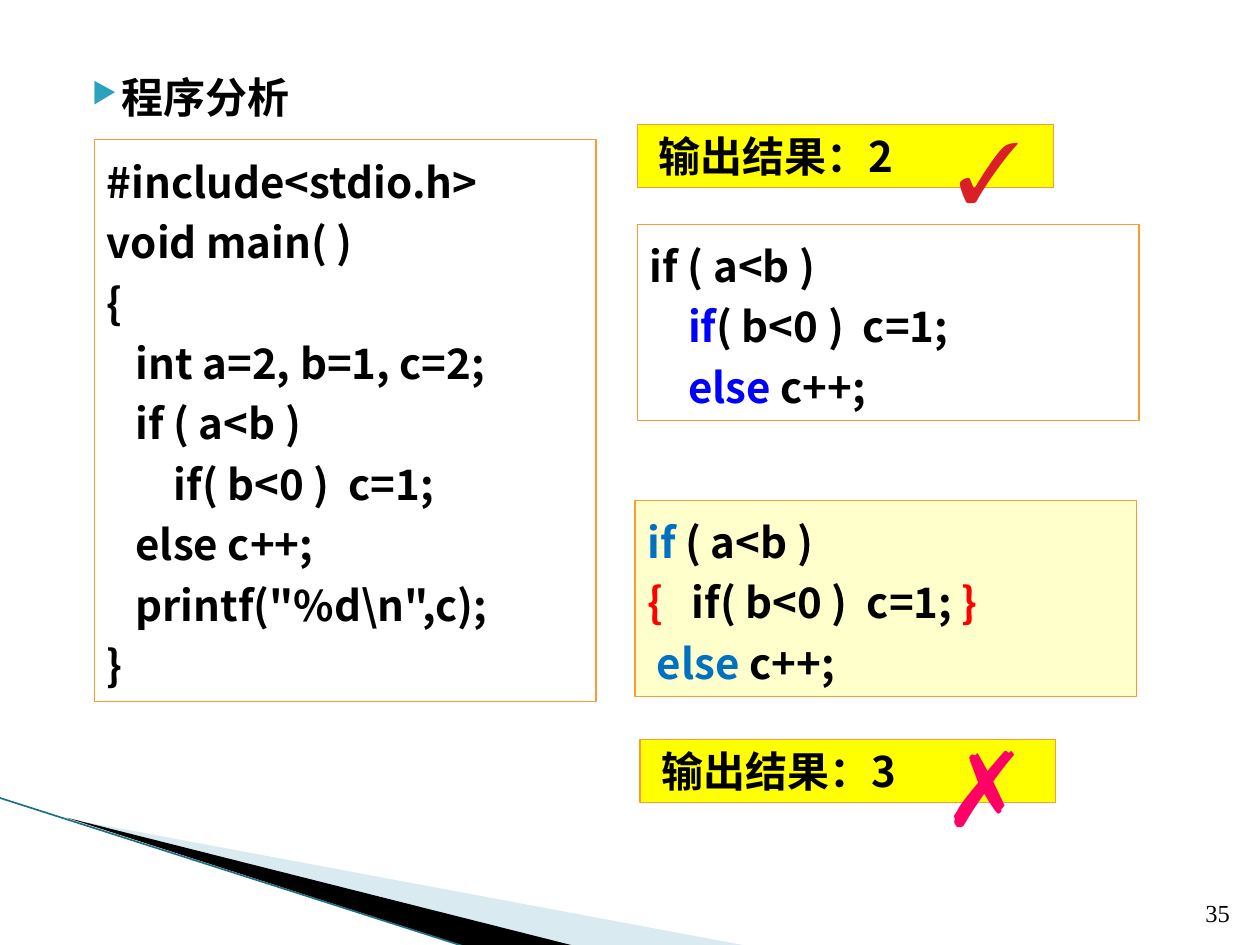
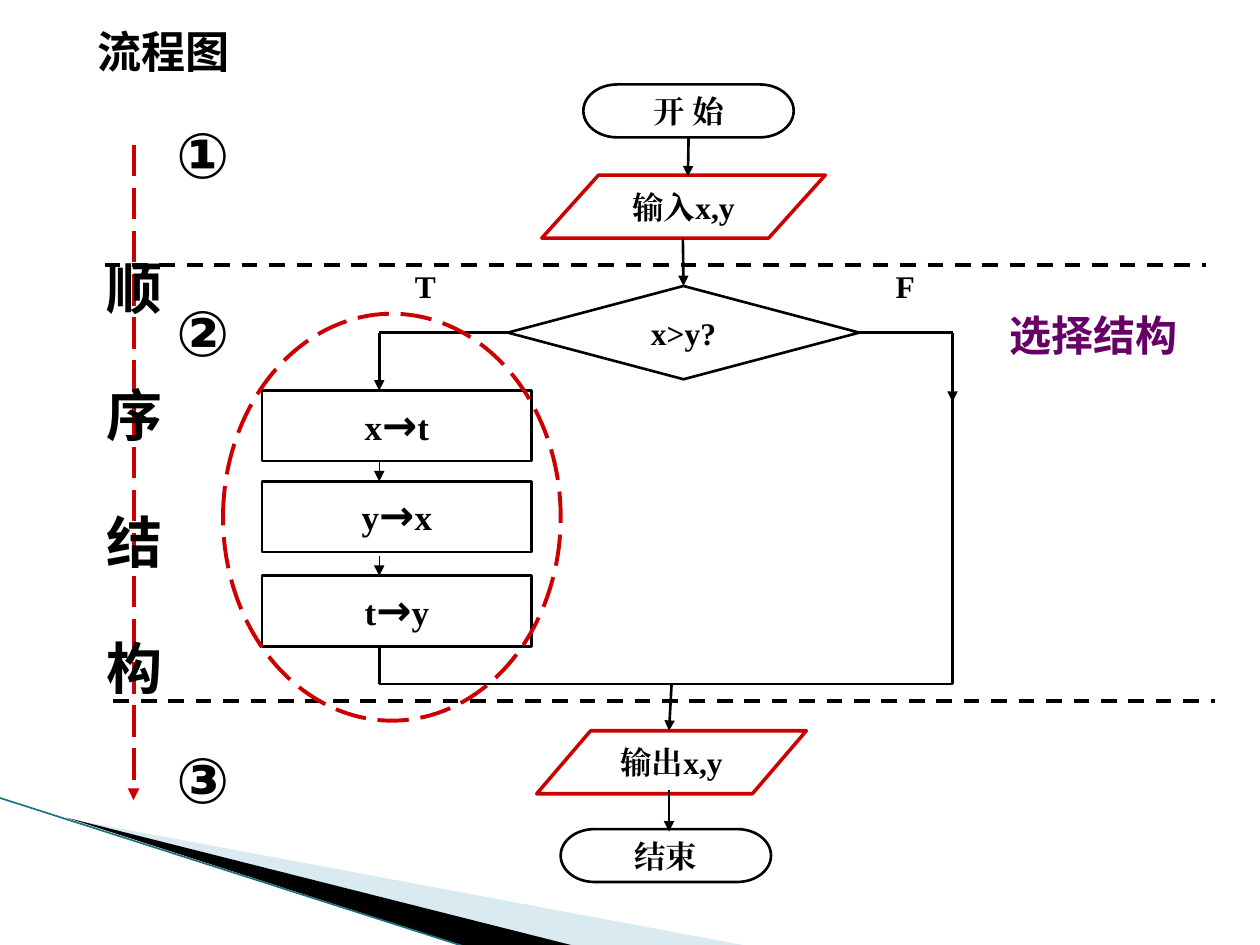
from lxml import etree
from pptx import Presentation
from pptx.dml.color import RGBColor
from pptx.enum.dml import MSO_LINE
from pptx.enum.shapes import MSO_CONNECTOR, MSO_SHAPE
from pptx.enum.text import MSO_ANCHOR, MSO_AUTO_SIZE, PP_ALIGN
from pptx.oxml.ns import qn
from pptx.util import Inches, Pt

LEFT, CENTER, RIGHT = PP_ALIGN.LEFT, PP_ALIGN.CENTER, PP_ALIGN.RIGHT
TOP, MIDDLE, BOTTOM = MSO_ANCHOR.TOP, MSO_ANCHOR.MIDDLE, MSO_ANCHOR.BOTTOM
RECT, OVAL = MSO_SHAPE.RECTANGLE, MSO_SHAPE.OVAL
TERMINATOR, DATA = MSO_SHAPE.FLOWCHART_TERMINATOR, MSO_SHAPE.FLOWCHART_DATA
DECISION, PROCESS = MSO_SHAPE.FLOWCHART_DECISION, MSO_SHAPE.FLOWCHART_PROCESS
DASH, LONG_DASH = MSO_LINE.DASH, MSO_LINE.LONG_DASH

BLACK = RGBColor(0x00, 0x00, 0x00)
RED = RGBColor(0xCC, 0x00, 0x00)
BRIGHT_RED = RGBColor(0xFF, 0x00, 0x00)
CHECK_RED = RGBColor(0xDA, 0x1F, 0x28)
PINK = RGBColor(0xFF, 0x00, 0x66)
PURPLE = RGBColor(0x66, 0x00, 0x66)
BLUE = RGBColor(0x00, 0x00, 0xFF)
SKY = RGBColor(0x00, 0x70, 0xC0)
ORANGE = RGBColor(0xFF, 0x99, 0x33)
YELLOW = RGBColor(0xFF, 0xFF, 0x00)
CREAM = RGBColor(0xFF, 0xFF, 0xCC)
PALE_BLUE = RGBColor(0xA0, 0xCB, 0xDC)
TEAL = RGBColor(0x1F, 0x70, 0x83)

SANS, SERIF = "Noto Sans CJK SC", "Times New Roman"
KARLA, MONO = "Karla", "DejaVu Sans Mono"

# ---- Content: program analysis ----
PROGRAM = [
    "#include<stdio.h>", "void main( )", "{", "   int a=2, b=1, c=2;",
    "   if ( a<b )", "       if( b<0 )  c=1;", "   else c++;",
    '   printf("%d\\n",c);', "}",
]
NESTED_ELSE = [
    "if ( a<b )",
    [("    ", {}), ("if", {"color": BLUE}), ("( b<0 )  c=1;", {})],
    [("    else ", {"color": BLUE}), ("c++;", {})],
]
OUTER_ELSE = [
    [("if", {"color": SKY}), (" ( a<b )", {})],
    [("{", {"color": BRIGHT_RED}), ("   if( b<0 )  c=1; ", {}),
     ("}", {"color": BRIGHT_RED})],
    [(" else ", {"color": SKY}), ("c++;", {})],
]
CODE_BOXES = [  # text, left, top, height, fill
    (PROGRAM, 0.75, 1.11, 4.46, None),
    (OUTER_ELSE, 5.04, 3.97, 1.56, CREAM),
    (NESTED_ELSE, 5.06, 1.78, 1.56, None),
]
RESULTS = [("输出结果：3", 5.08, 5.87), ("输出结果：2", 5.06, 0.99)]
MARKS = [  # text, area, size, colour
    ("✗", (7.18, 5.63, 0.97, 1.1), 60, PINK),
    ("✓", (7.36, 0.89, 0.84, 0.9), 48, CHECK_RED),
]

# ---- Content: flow chart ----
NODES = {  # text, kind, area, line colour, line width
    "start": ("开 始", TERMINATOR, (4.63, 0.67, 1.67, 0.42), BLACK, 1.5),
    "input": ("输入x,y", DATA, (4.3, 1.39, 2.25, 0.5), RED, 2),
    "output": ("输出x,y", DATA, (4.26, 5.8, 2.14, 0.5), RED, 2),
    "end": ("结束", TERMINATOR, (4.45, 6.58, 1.67, 0.42), BLACK, 1.5),
    "test": ("x>y?", DECISION, (4.03, 2.27, 2.79, 0.74), BLACK, 1.5),
}
SWAP_STEPS = [("x", "t", 3.1), ("y", "x", 3.82), ("t", "y", 4.57)]
STEP_LEFT, STEP_WIDTH, STEP_HEIGHT = 2.08, 2.14, 0.56
TRUE_X, FALSE_X, BRANCH_Y, MERGE_Y = 3.01, 7.56, 2.64, 5.43
LINKS = [  # start, end, format
    ((5.46, 1.09), (5.46, 1.4), {"arrow": True, "begin": ("start", 2)}),
    ((5.42, 1.9), (5.42, 2.27), {"arrow": True, "end": ("test", 0)}),
    ((5.31, 6.27), (5.31, 6.6), {"arrow": True}),
    ((4.03, BRANCH_Y), (TRUE_X, BRANCH_Y), {"begin": ("test", 1)}),
    ((TRUE_X, BRANCH_Y), (TRUE_X, 3.1), {"arrow": True}),
    ((6.82, BRANCH_Y), (FALSE_X, BRANCH_Y), {"begin": ("test", 3)}),
    ((FALSE_X, BRANCH_Y), (FALSE_X, 3.19), {"arrow": True}),
    ((FALSE_X, 3.16), (FALSE_X, MERGE_Y), {}),
    ((TRUE_X, 5.13), (TRUE_X, MERGE_Y), {}),
    ((TRUE_X, MERGE_Y), (FALSE_X, MERGE_Y), {}),
    ((5.33, MERGE_Y), (5.31, 5.8), {"arrow": True}),
    ((TRUE_X, 3.66), (TRUE_X, 3.82), {"arrow": True, "width": 0.75}),
    ((TRUE_X, 4.41), (TRUE_X, 4.57), {"arrow": True, "width": 0.75}),
    ((0.83, 2.1), (9.57, 2.1), {"width": 2.25, "dash": DASH}),
    ((0.9, 5.56), (9.64, 5.56), {"width": 2.25, "dash": DASH}),
    ((1.06, 1.15), (1.06, 6.35),
     {"width": 2.25, "dash": LONG_DASH, "color": RED, "arrow": True}),
]
BRANCH_LABELS = [("T", 2.82), ("F", 6.63)]
STAGES = [("①", 0.84), ("②", 2.25), ("③", 5.8)]


def inches(values):
    return [Inches(value) for value in values]


def put_text(box, paragraphs, size=24, font=SANS, color=BLACK, bold=True,
             align=LEFT, anchor=TOP, spacing=None, gap=0, wrap=True,
             insets=(0.1, 0.05, 0.1, 0.05), bullet=None):
    """Fill a box with paragraphs, each a string or a list of (text, changes)."""
    frame = box.text_frame
    frame.auto_size = MSO_AUTO_SIZE.NONE
    frame.word_wrap, frame.vertical_anchor = wrap, anchor
    (frame.margin_left, frame.margin_top,
     frame.margin_right, frame.margin_bottom) = inches(insets)
    for number, content in enumerate(paragraphs):
        para = frame.add_paragraph() if number else frame.paragraphs[0]
        para.alignment = align
        if spacing:
            para.line_spacing = spacing
        if number and gap:
            para.space_before = Pt(gap)
        if bullet:
            add_bullet(para, *bullet)
        spans = [(content, {})] if isinstance(content, str) else content
        for text, changes in spans:
            span = para.add_run()
            span.text = text
            span.font.size = Pt(changes.get("size", size))
            span.font.bold = bold
            span.font.color.rgb = changes.get("color", color)
            span.font.name = changes.get("font", font)
            east_asian = etree.SubElement(span.font._element, qn("a:ea"))
            east_asian.set("typeface", span.font.name)


def add_bullet(para, symbol, color, percent):
    properties = para._p.get_or_add_pPr()
    tint = etree.SubElement(properties, qn("a:buClr"))
    etree.SubElement(tint, qn("a:srgbClr")).set("val", color)
    etree.SubElement(properties, qn("a:buSzPct")).set("val", str(percent * 1000))
    etree.SubElement(properties, qn("a:buChar")).set("char", symbol)


def add_label(page, area, paragraphs, **style):
    put_text(page.shapes.add_textbox(*inches(area)), paragraphs, **style)


def paint(shape, fill=None, line=None, width=0.75):
    shape.shadow.inherit = False
    if fill is None:
        shape.fill.background()
    else:
        shape.fill.solid()
        shape.fill.fore_color.rgb = fill
    if line is None:
        shape.line.fill.background()
    else:
        shape.line.color.rgb = line
        shape.line.width = Pt(width)


def add_box(page, kind, area, fill=None, line=BLACK, width=0.75):
    shape = page.shapes.add_shape(kind, *inches(area))
    paint(shape, fill, line, width)
    return shape


def add_line(page, start, end, color=BLACK, width=1.5, dash=None, arrow=False,
             begin_at=None, end_at=None):
    line = page.shapes.add_connector(MSO_CONNECTOR.STRAIGHT,
                                     *inches(start + end))
    line.line.color.rgb = color
    line.line.width = Pt(width)
    if dash:
        line.line.dash_style = dash
    if arrow:
        tail = etree.SubElement(line.line._get_or_add_ln(), qn("a:tailEnd"))
        tail.set("type", "triangle")
    etree.SubElement(line._element.spPr, qn("a:effectLst"))
    if begin_at:
        line.begin_connect(*begin_at)
    if end_at:
        line.end_connect(*end_at)


def add_wedge(page, points, color, opacity=100):
    corners = [tuple(inches(point)) for point in points]
    builder = page.shapes.build_freeform(*corners[0])
    builder.add_line_segments(corners[1:], close=True)
    wedge = builder.convert_to_shape()
    paint(wedge, fill=color)
    if opacity < 100:
        tint = wedge._element.spPr.find(qn("a:solidFill"))[0]
        etree.SubElement(tint, qn("a:alpha")).set("val", str(opacity * 1000))


def new_page(deck, title, area, **style):
    """Start a slide with its title and the corner wedges."""
    page = deck.slides.add_slide(deck.slide_layouts[5])
    heading = page.shapes.title
    heading.left, heading.top, heading.width, heading.height = inches(area)
    put_text(heading, [title], **style)
    add_wedge(page, [(0.55, 6.5), (5.95, 7.51), (4.56, 7.51)], PALE_BLUE, 40)
    add_wedge(page, [(0.53, 6.49), (4.57, 7.51), (3.72, 7.52)], BLACK)
    add_line(page, (-0.01, 6.33), (3.71, 7.52), color=TEAL, width=0.95)
    return page


def build_analysis(deck):
    page = new_page(deck, "程序分析", (0.63, 0.4, 4.37, 0.55), spacing=1.3,
                    bullet=("▶", "2DA2BF", 68))
    add_label(page, (9.36, 7.01, 0.5, 0.4), ["35"], size=14, font=SERIF,
              bold=False, align=RIGHT, anchor=BOTTOM)
    for code, left, top, height, fill in CODE_BOXES:
        box = add_box(page, RECT, (left, top, 3.98, height), fill, ORANGE)
        put_text(box, code, spacing=1.2)
    for result, left, top in RESULTS:
        box = add_box(page, RECT, (left, top, 3.3, 0.5), YELLOW, ORANGE)
        put_text(box, [result], insets=(0.17, 0.05, 0.1, 0.05))
    for mark, area, size, color in MARKS:
        add_label(page, area, [mark], size=size, font=SERIF, color=color,
                  align=RIGHT, wrap=False)


def build_flow_chart(deck):
    page = new_page(deck, "流程图", (0.52, 0.12, 2.03, 0.56), size=25.2,
                    font=MONO, anchor=MIDDLE, insets=(0.25, 0.05, 0.1, 0.05))
    centred = {"font": SERIF, "align": CENTER, "anchor": MIDDLE, "wrap": False}

    # Nodes and the three swap steps
    nodes = {}
    for name, (text, kind, area, color, width) in NODES.items():
        nodes[name] = add_box(page, kind, area, line=color, width=width)
        put_text(nodes[name], [text], size=18, **centred)
    for source, target, top in SWAP_STEPS:
        box = add_box(page, PROCESS, (STEP_LEFT, top, STEP_WIDTH, STEP_HEIGHT),
                      width=1.5)
        spans = [(source, {}), ("→", {"size": 24, "font": KARLA}), (target, {})]
        put_text(box, [spans], size=20, spacing=0.95, **centred)

    # Links, joined to their nodes where they meet a side
    for start, end, style in LINKS:
        style = dict(style)
        joints = {}
        for key in ("begin", "end"):
            if key in style:
                name, side = style.pop(key)
                joints[key + "_at"] = (nodes[name], side)
        add_line(page, start, end, **style, **joints)

    # Labels
    for text, left in BRANCH_LABELS:
        add_label(page, (left, 1.99, 1.11, 0.56), [text], size=18, **centred)
    plain = {"font": KARLA, "spacing": 1.05, "insets": (0, 0.05, 0, 0.05)}
    for text, top in STAGES:
        add_label(page, (1.4, top, 0.6, 0.73), [text], size=36, **plain)
    add_label(page, (0.77, 1.94, 0.6, 4.1), list("顺序结构"), size=32,
              align=CENTER, gap=32, **plain)
    add_label(page, (7.94, 2.33, 1.47, 0.63), ["选择结构"], color=PURPLE,
              align=CENTER, anchor=MIDDLE, wrap=False, **plain)

    # Ring around the swap
    ring = add_box(page, OVAL, (1.77, 2.49, 2.68, 3.23), line=RED, width=2.25)
    ring.line.dash_style = LONG_DASH


def main():
    deck = Presentation()
    deck.slide_width, deck.slide_height = Inches(10), Inches(7.5)
    build_analysis(deck)
    build_flow_chart(deck)
    deck.save("out.pptx")


if __name__ == "__main__":
    main()
